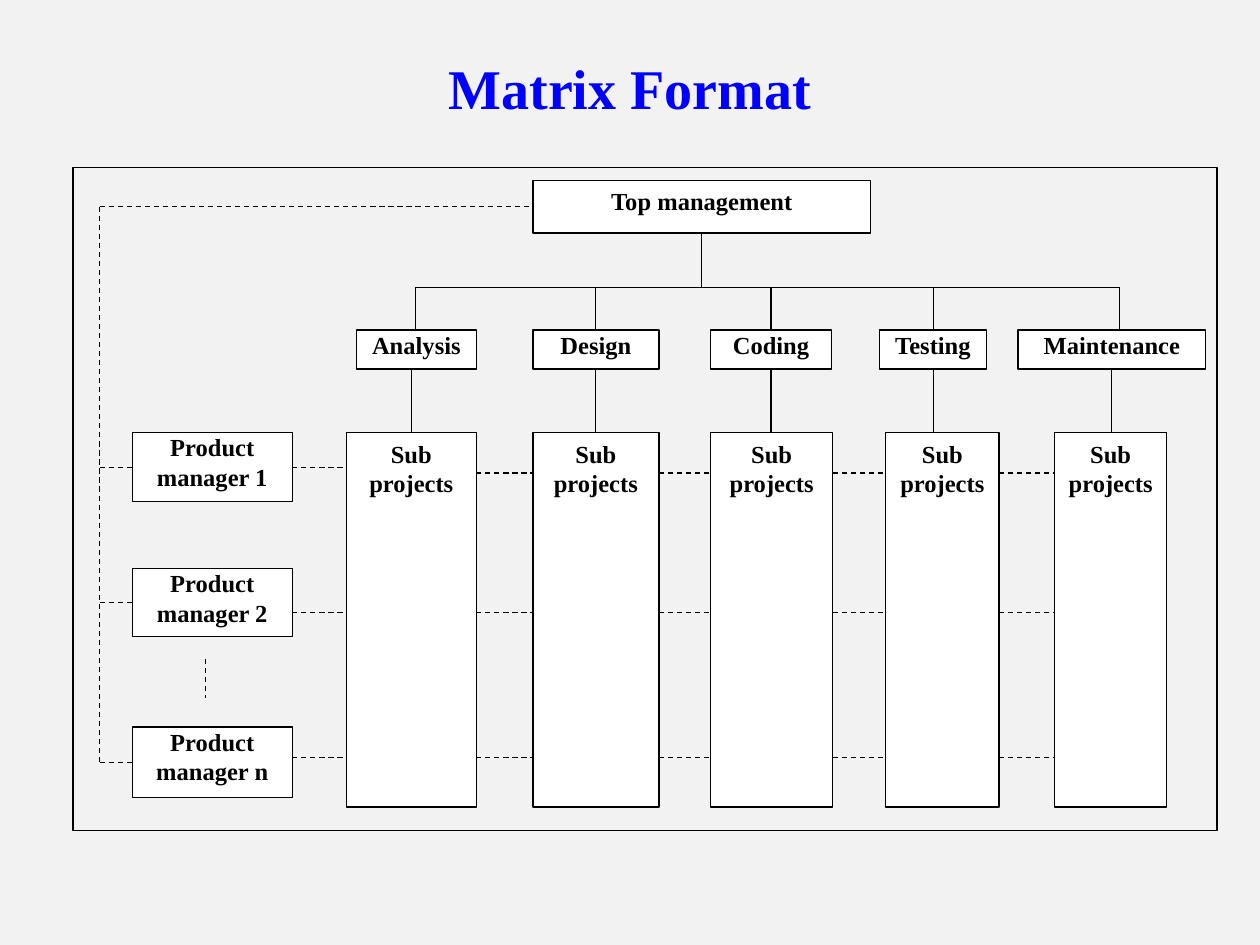
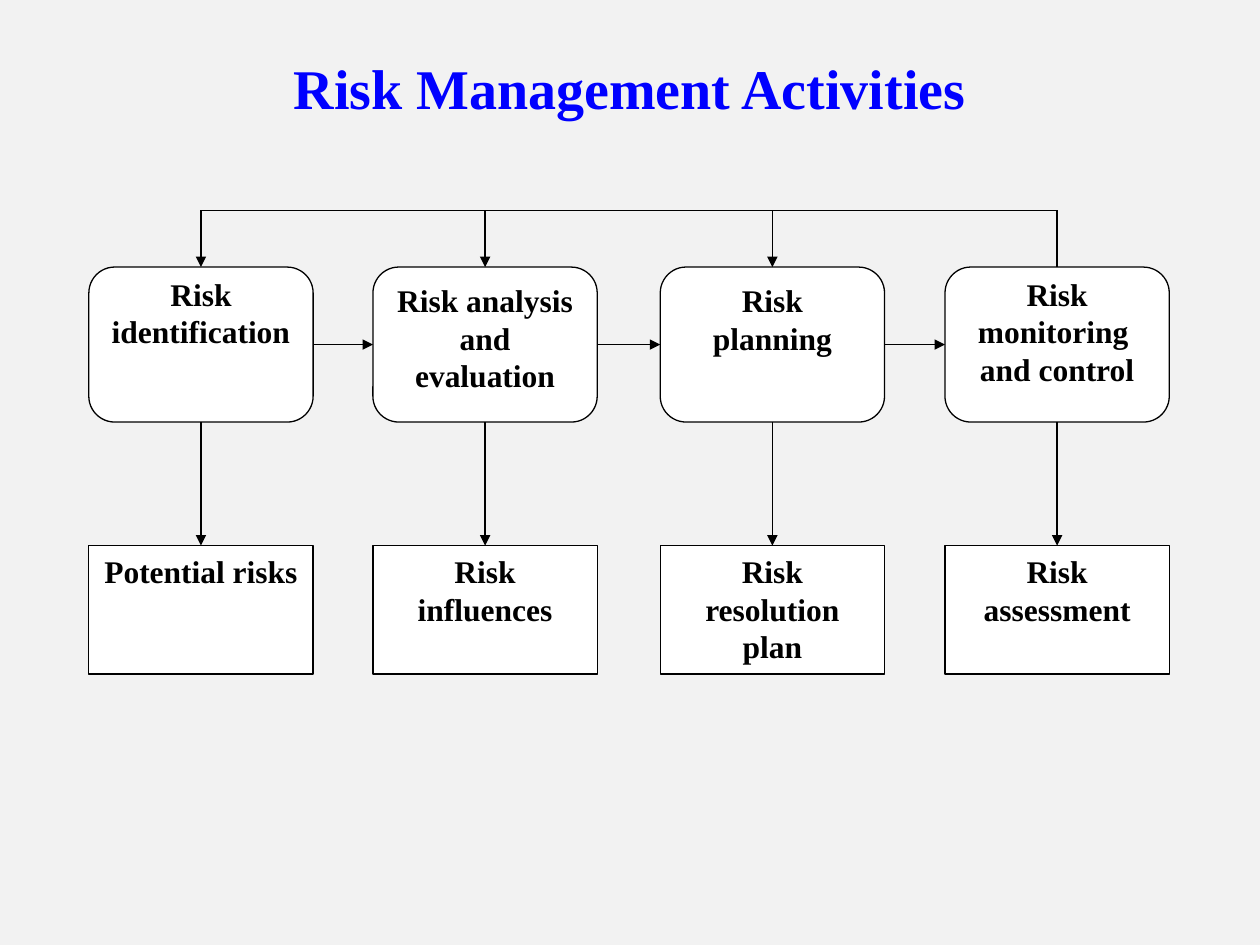
from itertools import pairwise

from lxml.etree import SubElement
from pptx import Presentation
from pptx.dml.color import RGBColor as RGB
from pptx.enum.dml import MSO_LINE as Dash
from pptx.enum.shapes import MSO_CONNECTOR as Conn, MSO_SHAPE as Shape
from pptx.enum.text import MSO_ANCHOR as Anchor, PP_ALIGN as Align
from pptx.oxml.ns import qn
from pptx.util import Inches, Pt

COLORS = {"back": "F2F2F2", "title": "0000FF", "ink": "000000", "box": "FFFFFF"}
FONT = "Times New Roman"
COLS, ROWS = 100, 75
LINE_WIDTH = 0.75


class Deck:
    def __init__(self):
        self.prs = Presentation()
        self.prs.slide_width, self.prs.slide_height = Inches(10), Inches(7.5)
        self.s = None
        self.size = 14

    def grid(self, col, row):
        return (round(self.prs.slide_width * col / COLS),
                round(self.prs.slide_height * row / ROWS))

    def color(self, name):
        return RGB.from_string(COLORS[name])

    def slide(self, title, size):
        self.s = self.prs.slides.add_slide(self.prs.slide_layouts[6])
        self.size = size
        fill = self.s.background.fill
        fill.solid()
        fill.fore_color.rgb = self.color("back")
        tb = self.s.shapes.add_textbox(*self.grid(5, 3), *self.grid(90, 7.8))
        tb.text_frame.vertical_anchor = Anchor.MIDDLE
        self.text(tb.text_frame, title, 32, "title")

    def text(self, tf, text, size, color):
        tf.word_wrap = True
        tf.text = text
        for p in tf.paragraphs:
            p.alignment = Align.CENTER
            for r in p.runs:
                r.font.name, r.font.size, r.font.bold = FONT, Pt(size), True
                r.font.color.rgb = self.color(color)

    def pen(self, line):
        line.color.rgb = self.color("ink")
        line.width = Pt(LINE_WIDTH)

    def box(self, left, top, width, height, text="", kind=Shape.RECTANGLE,
            padded=True, filled=True):
        sp = self.s.shapes.add_shape(
            kind, *self.grid(left, top), *self.grid(width, height))
        sp.shadow.inherit = False
        self.pen(sp.line)
        if filled:
            sp.fill.solid()
            sp.fill.fore_color.rgb = self.color("box")
        else:
            sp.fill.background()
        if text:
            tf = sp.text_frame
            tf.vertical_anchor = Anchor.TOP
            if not padded:
                tf.margin_left = tf.margin_top = 0
                tf.margin_right = tf.margin_bottom = 0
            self.text(tf, text, self.size, "ink")

    def line(self, x1, y1, x2, y2, dashed=False, arrow=False):
        cx = self.s.shapes.add_connector(
            Conn.STRAIGHT, *self.grid(x1, y1), *self.grid(x2, y2))
        self.pen(cx.line)
        if dashed:
            cx.line.dash_style = Dash.DASH
        if arrow:
            SubElement(cx.line._get_or_add_ln(), qn("a:tailEnd"), type="triangle")
        SubElement(cx._element.spPr, qn("a:effectLst"))

    def hline(self, y, x1, x2, **style):
        self.line(x1, y, x2, y, **style)

    def vline(self, x, y1, y2, **style):
        self.line(x, y1, x, y2, **style)


def matrix_format(deck):
    deck.slide("Matrix Format", 14)
    bus_y, head_y, head_h, sub_y, sub_h = 22.8, 26.2, 3.1, 34.35, 29.7
    trunk_x, manager_x, manager_w = 7.9, 10.5, 12.7
    manager_right = manager_x + manager_w
    phases = [
        ("Analysis", 28.3, 9.5, 33, 32.65, 27.5, 10.3),
        ("Design", 42.3, 10, 47.25, 47.25, 42.3, 10),
        ("Coding", 56.4, 9.6, 61.2, 61.2, 56.4, 9.7),
        ("Testing", 69.8, 8.5, 74.1, 74.1, 70.3, 9),
        ("Maintenance", 80.8, 14.9, 88.85, 88.2, 83.7, 8.9),
    ]
    managers = [
        ("1", 34.3, 5.5, 37.1, 37.1, 37.55),
        ("2", 45.1, 5.4, 47.8, 48.6, 48.6),
        ("n", 57.7, 5.6, 60.5, 60.1, 60.1),
    ]

    deck.box(5.8, 13.3, 90.8, 52.6, filled=False)
    deck.box(42.3, 14.3, 26.8, 4.2, "Top management")
    deck.vline(55.65, 18.5, bus_y)
    deck.hline(bus_y, phases[0][3], phases[-1][3])
    for name, head_x, head_w, riser_x, drop_x, sub_x, sub_w in phases:
        deck.box(head_x, head_y, head_w, head_h, name, padded=False)
        deck.box(sub_x, sub_y, sub_w, sub_h, "Sub projects")
        deck.vline(riser_x, bus_y, head_y)
        deck.vline(drop_x, head_y + head_h, sub_y)

    deck.vline(trunk_x, 16.4, managers[-1][3], dashed=True)
    deck.hline(16.4, trunk_x, 42.3, dashed=True)
    for number, top, height, stub_y, first_y, link_y in managers:
        deck.box(manager_x, top, manager_w, height,
                 f"Product manager {number}", padded=False)
        deck.hline(stub_y, trunk_x, manager_x, dashed=True)
        deck.hline(first_y, manager_right, phases[0][5], dashed=True)
        for (*_, sub_x, sub_w), (*_, next_x, _) in pairwise(phases):
            deck.hline(link_y, sub_x + sub_w, next_x, dashed=True)
    deck.vline(16.3, 52.3, 55.4, dashed=True)


def risk_activities(deck):
    deck.slide("Risk Management Activities", 18)
    loop_y, step_y, step_h, result_y, result_h = 16.7, 21.2, 12.3, 43.3, 10.2
    width = 17.8
    steps = [
        (7.05, "Risk identification", False, "Potential risks"),
        (29.6, "Risk analysis and evaluation", True, "Risk influences"),
        (52.4, "Risk planning", True, "Risk resolution plan"),
        (75, "Risk monitoring \nand control", False, "Risk assessment"),
    ]
    centers = [left + width / 2 for left, *_ in steps]

    for (left, step, padded, result), x in zip(steps, centers):
        deck.box(left, step_y, width, step_h, step,
                 Shape.ROUNDED_RECTANGLE, padded)
        deck.box(left, result_y, width, result_h, result)
        deck.vline(x, step_y + step_h, result_y, arrow=True)
        deck.vline(x, loop_y, step_y, arrow=x != centers[-1])
    deck.hline(loop_y, centers[0], centers[-1])
    for (left, *_), (next_left, *_) in pairwise(steps):
        deck.hline(step_y + step_h / 2, left + width, next_left, arrow=True)


def main():
    deck = Deck()
    matrix_format(deck)
    risk_activities(deck)
    deck.prs.save("out.pptx")


if __name__ == "__main__":
    main()
